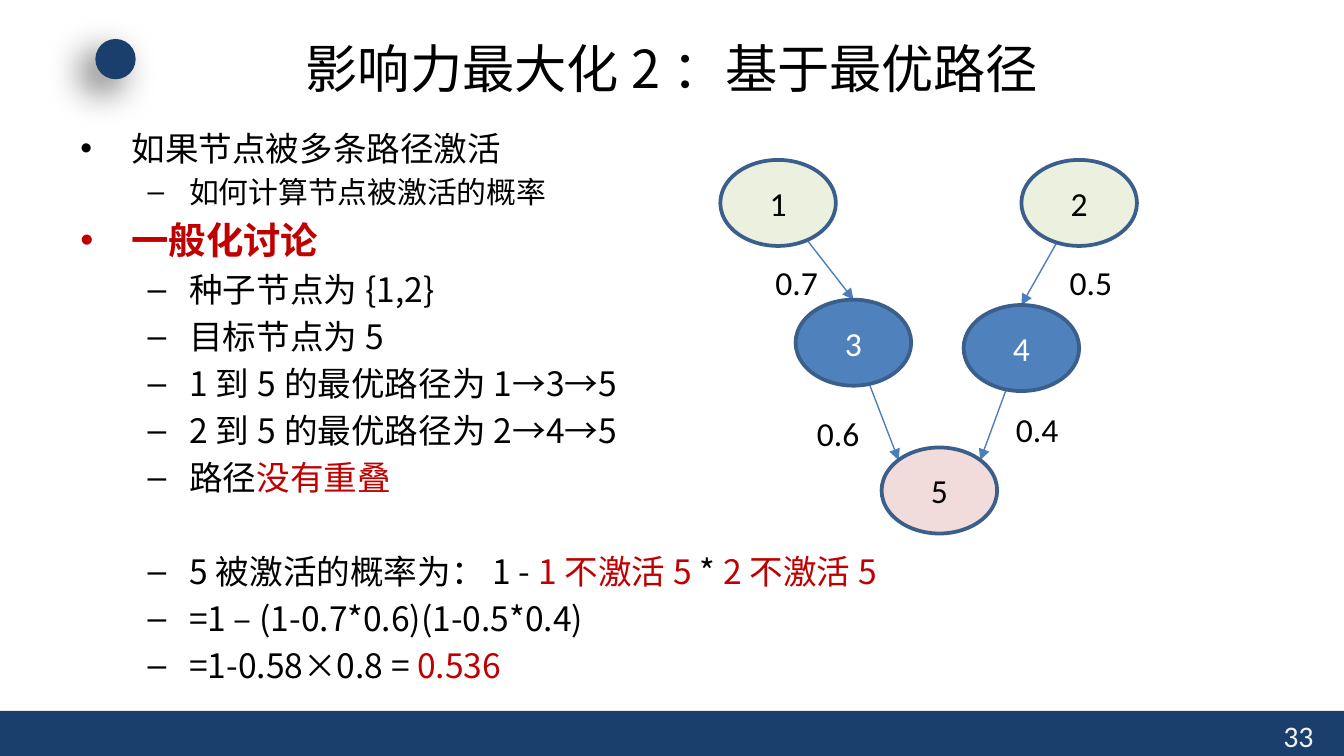
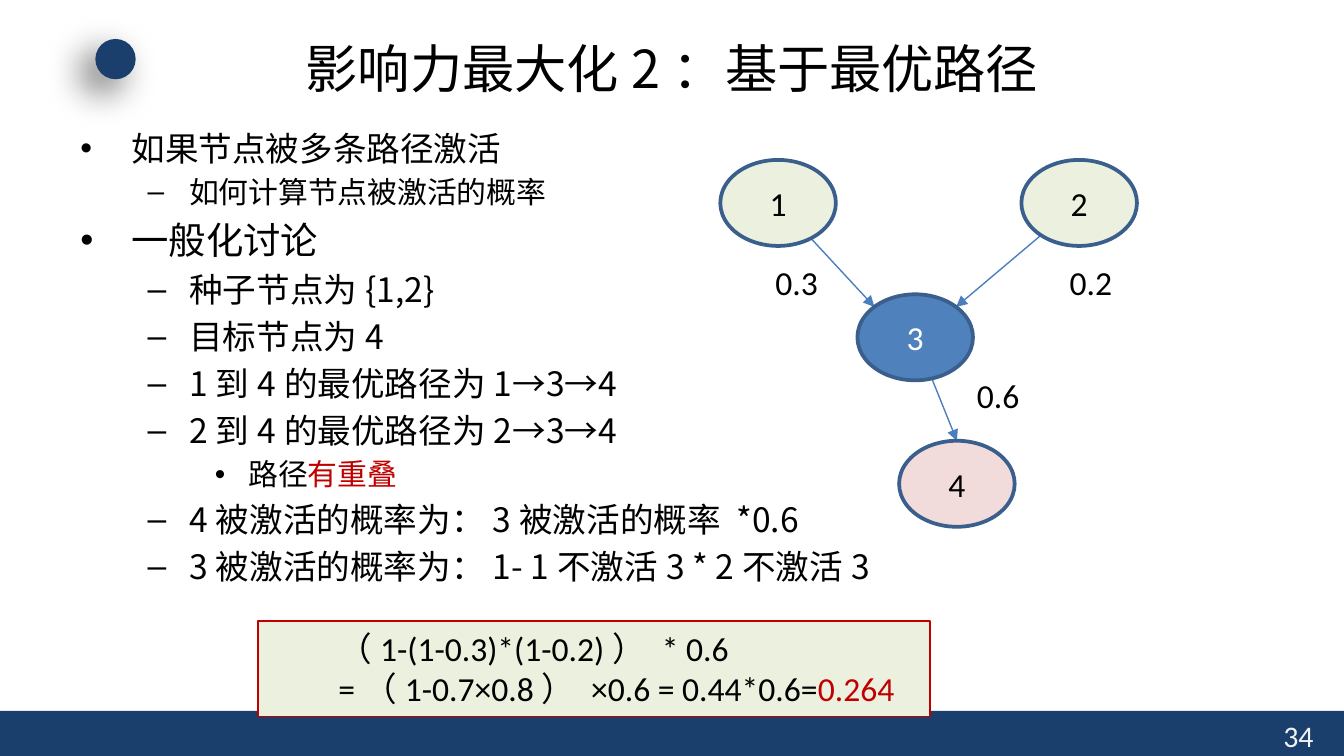
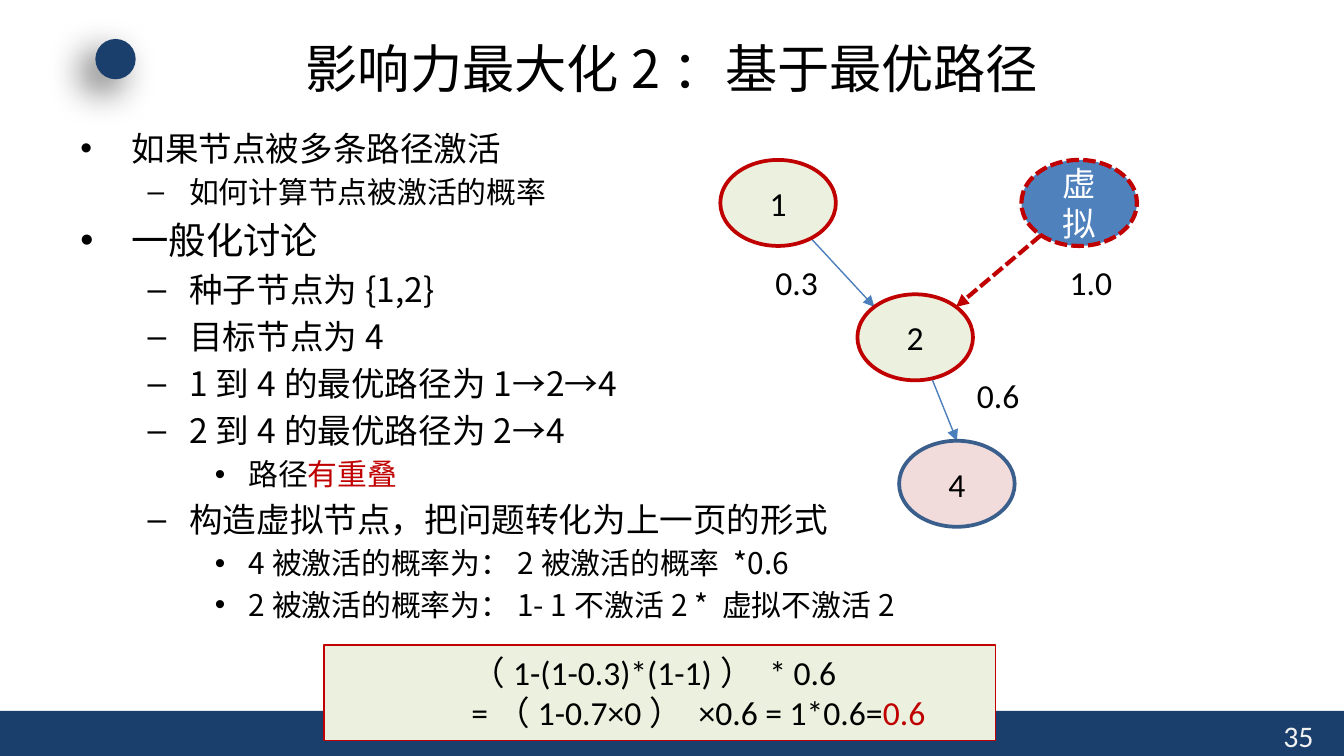
import math
from dataclasses import dataclass

import lxml.etree
import pptx
import pptx.dml.color
import pptx.enum.dml
import pptx.enum.shapes
import pptx.enum.text
import pptx.oxml
import pptx.oxml.ns
import pptx.util

TITLE = "影响力最大化2：基于最优路径"
FIRST_PAGE = 33


@dataclass(frozen=True)
class Theme:
    navy: str = "1A3F6C"
    page: str = "F2F2F2"
    ink: str = "000000"
    white: str = "FFFFFF"
    red: str = "C00000"
    seed: str = "EBF1DE"
    inner: str = "4F81BD"
    target: str = "F2DCDB"
    outline: str = "3A5F8C"
    arrow: str = "4B7EBC"
    cjk: str = "Noto Sans CJK SC"
    latin: str = "Calibri"
    title_size: int = 28
    head_size: int = 20
    text_size: int = 18
    small_size: int = 16


THEME = Theme()
WIDTH = 10
HEIGHT = WIDTH * 9 / 16
BAND_TOP = 5.29
NODE_W, NODE_H = 0.86, 0.64
LEVELS = [("•", 0.38, 0.38), ("–", 0.81, 0.31), ("•", 1.25, 0.25)]
LINE_SHARE, GAP_SHARE = 1.2, 0.2
SITES = {"top": 90, "top left": 135, "top right": 45}

SEED = {"fill": THEME.seed, "ink": THEME.ink}
INNER = {"fill": THEME.inner, "ink": THEME.white}
TARGET = {"fill": THEME.target, "ink": THEME.ink}
CHOSEN = {**SEED, "line": THEME.red}
VIRTUAL = {**INNER, "line": THEME.red, "weight": 2.25, "dashed": True}
DASHED_EDGE = {"line": THEME.red, "weight": 2.25, "dashed": True}


def red(words):
    return words, {"color": THEME.red}


def topic(*runs, **extra):
    return {"level": 0, "size": THEME.head_size, "runs": runs, **extra}


def point(*runs, **extra):
    return {"level": 1, "size": THEME.text_size, "runs": runs, **extra}


def detail(*runs):
    return {"level": 2, "size": THEME.small_size, "runs": runs}


QUESTION = [
    topic("如果节点被多条路径激活", size=THEME.text_size),
    point("如何计算节点被激活的概率", size=THEME.small_size),
]
OVERLAP = detail("路径", red("有重叠"))


def setting(target, *routes):
    return [point("种子节点为{1,2}"), point(f"目标节点为{target}")] + [
        point(f"{route[0]}到{target}的最优路径为{route}") for route in routes
    ]


SEED_LEFT, SEED_RIGHT = (5.36, 1.19), (7.6, 1.19)
MIDDLE, BOTTOM = (6.38, 2.19), (6.69, 3.28)
LABEL_LEFT, LABEL_RIGHT, LABEL_LOW = (5.67, 1.9), (7.86, 1.9), (7.17, 2.74)

PAGES = [
    {
        "body": QUESTION
        + [topic(("一般化讨论", {"color": THEME.red, "bold": True}))]
        + setting(5, "1→3→5", "2→4→5")
        + [
            point("路径", red("没有重叠")),
            point("5被激活的概率为：1 - ", red("1不激活5 "), "* ", red("2不激活5"), lead=25.2),
            point("=1 – (1-0.7*0.6)(1-0.5*0.4)"),
            point("=1-0.58×0.8 = ", red("0.536")),
        ],
        "nodes": {
            "1": (SEED_LEFT, SEED),
            "2": (SEED_RIGHT, SEED),
            "3": ((5.92, 2.23), INNER),
            "4": ((7.17, 2.27), INNER),
            "5": ((6.56, 3.33), TARGET),
        },
        "edges": [
            ("1", "3", "top", "0.7", LABEL_LEFT, {}),
            ("2", "4", "top", "0.5", LABEL_RIGHT, {}),
            ("3", "5", "top left", "0.6", (5.98, 3.02), {}),
            ("4", "5", "top right", "0.4", (7.46, 2.99), {}),
        ],
    },
    {
        "body": QUESTION
        + [topic("一般化讨论")]
        + setting(4, "1→3→4", "2→3→4")
        + [
            OVERLAP,
            point("4被激活的概率为：3被激活的概率 *0.6"),
            point("3被激活的概率为：1- 1不激活3 * 2不激活3"),
        ],
        "nodes": {
            "1": (SEED_LEFT, SEED),
            "2": (SEED_RIGHT, SEED),
            "3": (MIDDLE, INNER),
            "4": (BOTTOM, TARGET),
        },
        "edges": [
            ("1", "3", "top left", "0.3", LABEL_LEFT, {}),
            ("2", "3", "top right", "0.2", LABEL_RIGHT, {}),
            ("3", "4", "top", "0.6", LABEL_LOW, {}),
        ],
        "result": {
            "at": (1.92, 4.62),
            "indent": 0.5,
            "lines": [
                ["（1-(1-0.3)*(1-0.2)） * 0.6"],
                ["=（1-0.7×0.8） ×0.6 = 0.44*0.6=", red("0.264")],
            ],
        },
    },
    {
        "body": QUESTION
        + [topic("一般化讨论")]
        + setting(4, "1→2→4", "2→4")
        + [
            OVERLAP,
            point("构造虚拟节点，把问题转化为上一页的形式"),
            detail("4被激活的概率为：2被激活的概率 *0.6"),
            detail("2被激活的概率为：1- 1不激活2 * 虚拟不激活2"),
        ],
        "nodes": {
            "1": (SEED_LEFT, CHOSEN),
            "虚拟": (SEED_RIGHT, VIRTUAL),
            "2": (MIDDLE, CHOSEN),
            "4": (BOTTOM, TARGET),
        },
        "edges": [
            ("1", "2", "top left", "0.3", LABEL_LEFT, {}),
            ("虚拟", "2", "top right", "1.0", LABEL_RIGHT, DASHED_EDGE),
            ("2", "4", "top", "0.6", LABEL_LOW, {}),
        ],
        "result": {
            "at": (2.41, 4.8),
            "indent": 1,
            "lines": [
                ["（1-(1-0.3)*(1-1)） * 0.6"],
                ["=（1-0.7×0） ×0.6 = 1*0.6=", red("0.6")],
            ],
        },
    },
]


def rgb(value):
    return pptx.dml.color.RGBColor.from_string(value)


def inches(*lengths):
    return [pptx.util.Inches(length) for length in lengths]


def assign(part, **values):
    for name, value in values.items():
        setattr(part, name, value)


def add_xml(parent, tag, **attributes):
    return lxml.etree.SubElement(parent, pptx.oxml.ns.qn(tag), attributes)


def write(paragraph, runs, size, face, color=THEME.ink):
    for entry in runs:
        words, style = (entry, {}) if isinstance(entry, str) else entry
        run = paragraph.add_run()
        run.text = words
        assign(run.font, name=face, size=pptx.util.Pt(size), bold=style.get("bold", False))
        run.font.color.rgb = rgb(style.get("color", color))
        add_xml(run.font._element, "a:ea", typeface=THEME.cjk)


def style_line(line, color, weight, dashed=False):
    line.color.rgb = rgb(color)
    line.width = pptx.util.Pt(weight)
    if dashed:
        line.dash_style = pptx.enum.dml.MSO_LINE.SQUARE_DOT


def add_block(slide, preset, box, fill, line=None, weight=2, dashed=False):
    block = slide.shapes.add_shape(preset, *inches(*box))
    block.shadow.inherit = False
    block.fill.solid()
    block.fill.fore_color.rgb = rgb(fill)
    if line:
        style_line(block.line, line, weight, dashed)
    else:
        block.line.fill.background()
    return block


def add_text(slide, box, wrap=True):
    frame = slide.shapes.add_textbox(*inches(*box)).text_frame
    frame.word_wrap = wrap
    return frame


def add_frame(slide, page):
    shape = pptx.enum.shapes.MSO_SHAPE
    add_block(slide, shape.RECTANGLE, (0, BAND_TOP, WIDTH, HEIGHT - BAND_TOP), THEME.navy)
    number = add_text(slide, (9.45, BAND_TOP, 0.5, 0.3))
    write(number.paragraphs[0], [str(page)], THEME.small_size, THEME.latin, THEME.page)

    dot = add_block(slide, shape.OVAL, (0.71, 0.29, 0.3, 0.3), THEME.navy)
    effects = dot._element.spPr.find(pptx.oxml.ns.qn("a:effectLst"))
    shadow = add_xml(
        effects, "a:outerShdw", blurRad=str(pptx.util.Pt(20)), dist=str(pptx.util.Pt(10)),
        dir=str(135 * 60000), algn="ctr", rotWithShape="0",
    )
    add_xml(add_xml(shadow, "a:srgbClr", val=THEME.ink), "a:alpha", val="60000")

    title = add_text(slide, (0.5, 0.23, 9, 0.55))
    title.vertical_anchor = pptx.enum.text.MSO_ANCHOR.MIDDLE
    title.paragraphs[0].alignment = pptx.enum.text.PP_ALIGN.CENTER
    write(title.paragraphs[0], [TITLE], THEME.title_size, THEME.cjk)


def add_body(slide, items):
    frame = add_text(slide, (0.5, 0.9, 9, 4.31))
    for index, item in enumerate(items):
        paragraph = frame.paragraphs[0] if index == 0 else frame.add_paragraph()
        bullet, margin, hang = LEVELS[item["level"]]
        size = item["size"]
        gap = size * GAP_SHARE + item.get("lead", 0) if index else 0
        assign(
            paragraph, level=item["level"], line_spacing=pptx.util.Pt(size * LINE_SHARE),
            space_before=pptx.util.Pt(gap),
        )
        properties = paragraph._p.get_or_add_pPr()
        properties.set("marL", str(pptx.util.Inches(margin)))
        properties.set("indent", str(-pptx.util.Inches(hang)))
        add_xml(properties, "a:buFont", typeface="Arial")
        add_xml(properties, "a:buChar", char=bullet)
        write(paragraph, item["runs"], size, THEME.cjk)


def center(corner):
    return corner[0] + NODE_W / 2, corner[1] + NODE_H / 2


def rim(corner, site):
    x, y = center(corner)
    angle = math.radians(SITES[site])
    return x + math.cos(angle) * NODE_W / 2, y - math.sin(angle) * NODE_H / 2


def add_edge(slide, start, end, line=THEME.arrow, weight=0.75, dashed=False):
    edge = slide.shapes.add_connector(
        pptx.enum.shapes.MSO_CONNECTOR.STRAIGHT, *inches(*start, *end)
    )
    style_line(edge.line, line, weight, dashed)
    add_xml(edge.line._get_or_add_ln(), "a:tailEnd", type="triangle")
    add_xml(edge._element.spPr, "a:effectLst")


def add_graph(slide, nodes, edges):
    for source, target, site, _, _, look in edges:
        add_edge(slide, center(nodes[source][0]), rim(nodes[target][0], site), **look)
    for name, (corner, look) in nodes.items():
        style = {"line": THEME.outline, **look}
        ink = style.pop("ink")
        node = add_block(
            slide, pptx.enum.shapes.MSO_SHAPE.OVAL, (*corner, NODE_W, NODE_H), **style
        )
        frame = node.text_frame
        assign(frame, word_wrap=True, vertical_anchor=pptx.enum.text.MSO_ANCHOR.MIDDLE)
        frame.paragraphs[0].alignment = pptx.enum.text.PP_ALIGN.CENTER
        write(frame.paragraphs[0], [name], THEME.text_size, THEME.latin, ink)
    for *_, chance, place, _ in edges:
        label = add_text(slide, (*place, 0.52, 0.4), wrap=False)
        write(label.paragraphs[0], [chance], THEME.text_size, THEME.latin)


def add_result(slide, result):
    panel = add_block(
        slide, pptx.enum.shapes.MSO_SHAPE.RECTANGLE, (*result["at"], 5, 0.71),
        THEME.seed, THEME.red, 0.75,
    )
    frame = panel.text_frame
    assign(frame, word_wrap=True, vertical_anchor=pptx.enum.text.MSO_ANCHOR.TOP)
    for index, runs in enumerate(result["lines"]):
        paragraph = frame.paragraphs[0] if index == 0 else frame.add_paragraph()
        paragraph.alignment = pptx.enum.text.PP_ALIGN.LEFT
        paragraph._p.get_or_add_pPr().set("marL", str(pptx.util.Inches(result["indent"])))
        write(paragraph, runs, THEME.text_size, THEME.latin)


def main():
    deck = pptx.Presentation()
    assign(deck, slide_width=pptx.util.Inches(WIDTH), slide_height=pptx.util.Inches(HEIGHT))
    for number, page in enumerate(PAGES, FIRST_PAGE):
        slide = deck.slides.add_slide(deck.slide_layouts[6])
        add_frame(slide, number)
        add_body(slide, page["body"])
        add_graph(slide, page["nodes"], page["edges"])
        if "result" in page:
            add_result(slide, page["result"])
    deck.save("out.pptx")


if __name__ == "__main__":
    main()
